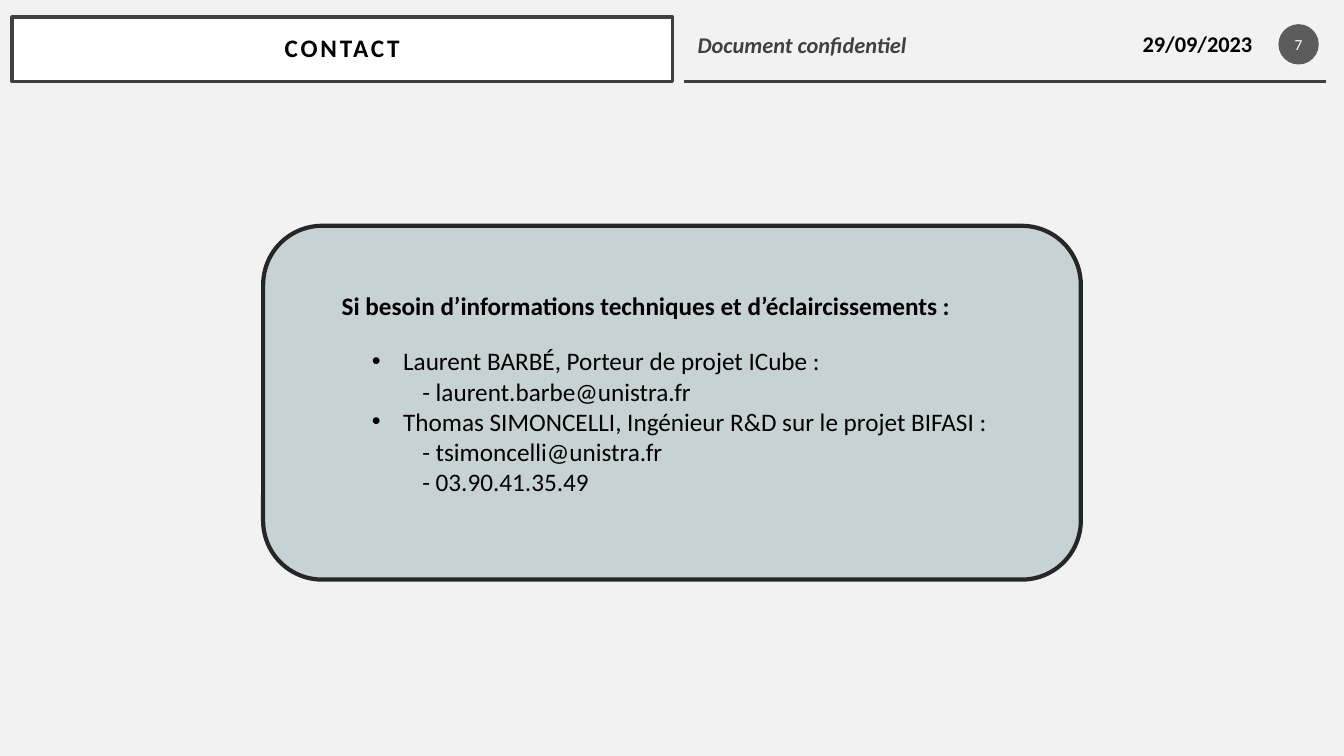
"""Build the contact slide with its header band and contact card."""
from dataclasses import dataclass, field
from typing import Any, Optional

import pptx
import pptx.dml.color
import pptx.enum.shapes
import pptx.enum.text
import pptx.oxml.ns
import pptx.oxml.xmlchemy
import pptx.util
from lxml import etree

Inches = pptx.util.Inches
Pt = pptx.util.Pt
RGBColor = pptx.dml.color.RGBColor
Shape = pptx.enum.shapes.MSO_SHAPE
Align = pptx.enum.text.PP_ALIGN
Anchor = pptx.enum.text.MSO_ANCHOR
qn = pptx.oxml.ns.qn

BACKGROUND = RGBColor(0xF2, 0xF2, 0xF2)
CARD_FILL = RGBColor(0xC7, 0xD2, 0xD5)
CARD_LINE = RGBColor(0x26, 0x26, 0x26)
BADGE_FILL = RGBColor(0x1D, 0x1D, 0x1D)
DARK_GREY = RGBColor(0x40, 0x40, 0x40)
BLACK = RGBColor(0, 0, 0)
WHITE = RGBColor(0xFF, 0xFF, 0xFF)

Box = tuple[float, float, float, float]


@dataclass(frozen=True)
class Line:
    """One paragraph with its indents."""
    text: str
    level: int = 0
    margin: float = 0
    indent: float = 0
    bullet: str = ""


@dataclass(frozen=True)
class Text:
    """Paragraphs that share one format."""
    lines: list[Line]
    size: float = 18
    color: RGBColor = BLACK
    font: dict[str, Any] = field(default_factory=dict)
    frame: dict[str, Any] = field(default_factory=dict)
    paragraph: dict[str, Any] = field(default_factory=dict)
    spacing: int = 0


@dataclass(frozen=True)
class Panel:
    """A filled preset shape."""
    kind: Shape
    box: Box
    fill: RGBColor
    line: Optional[RGBColor] = None
    line_width: float = 0
    alpha: int = 100
    text: Optional[Text] = None


@dataclass(frozen=True)
class Label:
    """A text box."""
    box: Box
    text: Text


def set_attributes(target: Any, values: dict[str, Any]) -> None:
    """Set each named format value on the target."""
    for name, value in values.items():
        setattr(target, name, value)


def write_text(shape: Any, text: Text) -> None:
    """Fill the shape's text frame."""
    frame = shape.text_frame
    set_attributes(frame, {"word_wrap": True} | text.frame)
    for number, line in enumerate(text.lines):
        paragraph = frame.add_paragraph() if number else frame.paragraphs[0]
        set_attributes(paragraph, {"alignment": Align.LEFT, "level": line.level} | text.paragraph)
        properties = paragraph._p.get_or_add_pPr()
        properties.set("marL", str(Inches(line.margin)))
        properties.set("indent", str(Inches(line.indent)))
        if line.bullet:
            etree.SubElement(properties, qn("a:buFont")).set("typeface", "Arial")
            etree.SubElement(properties, qn("a:buChar")).set("char", line.bullet)
        run = paragraph.add_run()
        run.text = line.text
        set_attributes(run.font, {"name": "Calibri", "size": Pt(text.size)} | text.font)
        run.font.color.rgb = text.color
        if text.spacing:
            run._r.get_or_add_rPr().set("spc", str(text.spacing))


def add_panel(slide: Any, panel: Panel) -> None:
    """Draw a preset shape with its fill, outline and text."""
    shape = slide.shapes.add_shape(panel.kind, *map(Inches, panel.box))
    shape.shadow.inherit = False
    shape.fill.solid()
    shape.fill.fore_color.rgb = panel.fill
    if panel.alpha < 100:
        color = shape._element.spPr.find(f"{qn('a:solidFill')}/{qn('a:srgbClr')}")
        etree.SubElement(color, qn("a:alpha")).set("val", str(panel.alpha * 1000))
    if panel.line is None:
        shape.line.fill.background()
    else:
        shape.line.color.rgb = panel.line
        shape.line.width = Pt(panel.line_width)
    if panel.text:
        write_text(shape, panel.text)


def add_label(slide: Any, label: Label) -> None:
    """Draw a text box."""
    write_text(slide.shapes.add_textbox(*map(Inches, label.box)), label.text)


def add_rule(slide: Any, left: float, right: float, top: float) -> None:
    """Draw the horizontal header rule."""
    rule = slide.shapes.add_connector(
        pptx.enum.shapes.MSO_CONNECTOR.STRAIGHT, *map(Inches, (left, top, right, top)))
    rule.line.color.rgb = DARK_GREY
    rule.line.width = Pt(2.5)
    etree.SubElement(rule._element.spPr, qn("a:effectLst"))


def margins(horizontal: float, vertical: float) -> dict[str, Any]:
    """Give the frame margins in inches."""
    return {"margin_left": Inches(horizontal), "margin_right": Inches(horizontal),
            "margin_top": Inches(vertical), "margin_bottom": Inches(vertical)}


def person(text: str) -> Line:
    """Give a bulleted contact line."""
    return Line(text, 1, 0.81, -0.31, "•")


def detail(text: str) -> Line:
    """Give an indented line under a contact."""
    return Line(text, 2, 1)


MIDDLE = {"vertical_anchor": Anchor.MIDDLE}
CENTERED = {"alignment": Align.CENTER}
BOLD = {"bold": True}

PANELS = [
    Panel(Shape.ROUNDED_RECTANGLE, (2.61, 2.24, 8.11, 3.51), CARD_FILL, CARD_LINE, 3),
    Panel(Shape.OVAL, (12.68, 0.24, 0.4, 0.4), BADGE_FILL, alpha=70,
          text=Text([Line("7")], 11, WHITE, frame=MIDDLE | margins(0.02, 0.05),
                    paragraph=CENTERED)),
    Panel(Shape.RECTANGLE, (0.12, 0.17, 6.55, 0.64), WHITE, DARK_GREY, 2.5,
          text=Text([Line("CONTACT")], font=BOLD, frame=MIDDLE | margins(0.2, 0.2),
                    paragraph=CENTERED | {"line_spacing": 0.9}, spacing=200)),
]

LABELS = [
    Label((6.82, 0.26, 2.45, 0.37),
          Text([Line("Document confidentiel")], 16, DARK_GREY, BOLD | {"italic": True})),
    Label((9.51, 0.26, 3.01, 0.35),
          Text([Line("29/09/2023")], 16, font=BOLD, frame=MIDDLE,
               paragraph={"alignment": Align.RIGHT})),
    Label((3.09, 3.38, 7.15, 1.62), Text([
        person("Laurent BARBÉ, Porteur de projet ICube :"),
        detail("- laurent.barbe@unistra.fr"),
        person("Thomas SIMONCELLI, Ingénieur R&D sur le projet BIFASI :"),
        detail("- tsimoncelli@unistra.fr"),
        detail("- 03.90.41.35.49"),
    ])),
    Label((3.29, 2.83, 7.04, 0.4),
          Text([Line("Si besoin d’informations techniques et d’éclaircissements :")], font=BOLD)),
]


def main() -> None:
    """Build and save the presentation."""
    presentation = pptx.Presentation()
    set_attributes(presentation, {"slide_width": Inches(13.33), "slide_height": Inches(7.5)})
    slide = presentation.slides.add_slide(presentation.slide_layouts[6])
    slide.background.fill.solid()
    slide.background.fill.fore_color.rgb = BACKGROUND
    for panel in PANELS:
        add_panel(slide, panel)
    add_rule(slide, 6.78, 13.15, 0.81)
    for label in LABELS:
        add_label(slide, label)
    presentation.save("out.pptx")


if __name__ == "__main__":
    main()
